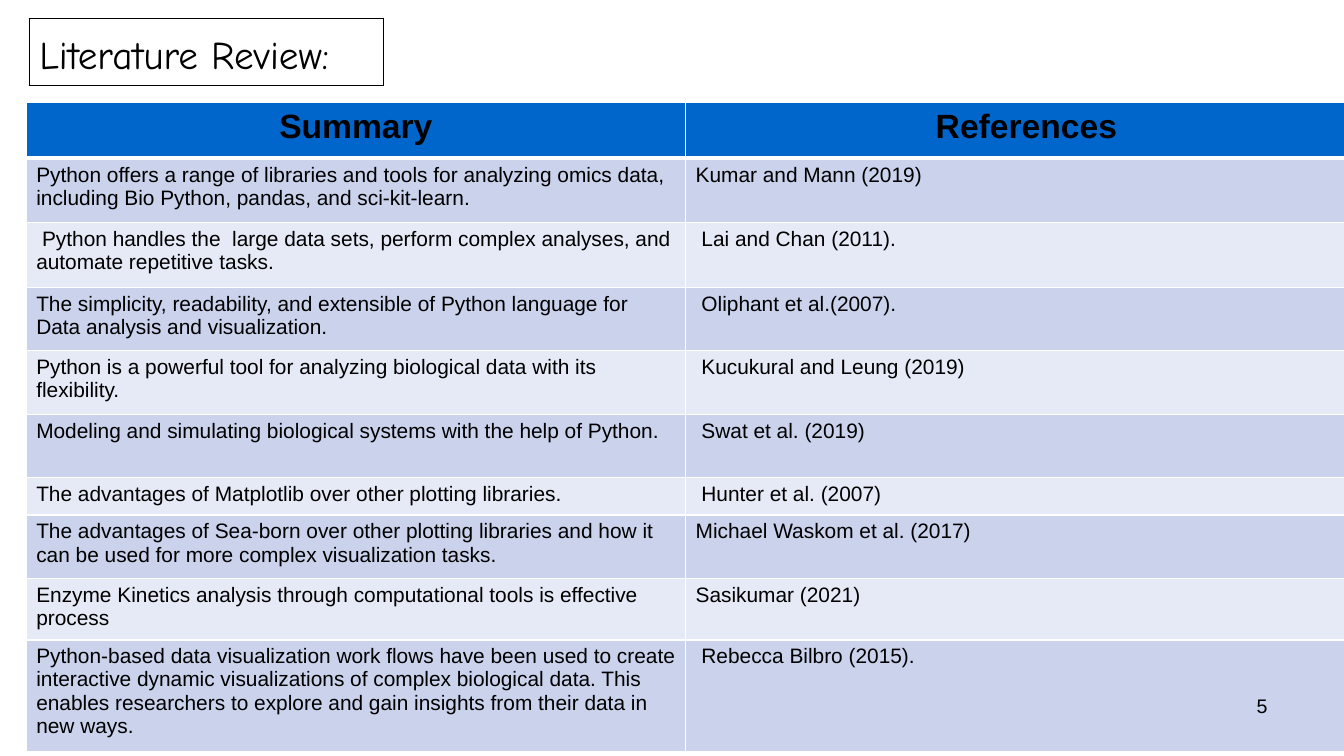
from dataclasses import dataclass

from lxml import etree
from pptx import Presentation
from pptx.dml.color import RGBColor
from pptx.enum.text import MSO_ANCHOR, PP_ALIGN
from pptx.oxml.ns import qn
from pptx.util import Inches, Pt

LEFT, CENTER, RIGHT = PP_ALIGN.LEFT, PP_ALIGN.CENTER, PP_ALIGN.RIGHT
MIDDLE = MSO_ANCHOR.MIDDLE
TITLE_ONLY = 5


@dataclass(frozen=True)
class Theme:
    title_font: str = "Comic Neue"
    body_font: str = "Arial"
    ink: str = "000000"
    rule: str = "FFFFFF"
    header: str = "0066CC"
    bands: tuple = ("CAD2EC", "E6EAF6")
    title_size: float = 28
    header_size: float = 24
    body_size: float = 14.9
    number_size: float = 14


HEADINGS = ("Summary", "References")
STUDIES = [
    ("Python offers a range of libraries and tools for analyzing omics data, including Bio Python, "
     "pandas, and sci-kit-learn.", "Kumar and Mann (2019)"),
    (" Python handles the  large data sets, perform complex analyses, and automate repetitive tasks.",
     " Lai and Chan (2011)."),
    ("The simplicity, readability, and extensible of Python language for Data analysis and "
     "visualization.", " Oliphant et al.(2007)."),
    ("Python is a powerful tool for analyzing biological data with its flexibility.",
     " Kucukural and Leung (2019)"),
    ("Modeling and simulating biological systems with the help of Python.", " Swat et al. (2019)"),
    ("The advantages of Matplotlib over other plotting libraries.", " Hunter et al. (2007)"),
    ("The advantages of Sea-born over other plotting libraries and how it can be used for more "
     "complex visualization tasks.", "Michael Waskom et al. (2017)"),
    ("Enzyme Kinetics analysis through computational tools is effective process", "Sasikumar (2021)"),
    ("Python-based data visualization work flows have been used to create interactive dynamic "
     "visualizations of complex biological data. This enables researchers to explore and gain "
     "insights from their data in new ways.", " Rebecca Bilbro (2015)."),
]
ROW_HEIGHTS = (0.55, 0.64, 0.64, 0.63, 0.63, 0.63, 0.37, 0.63, 0.61, 1.11)
COLUMN_WIDTH = 6.54


class SlideBuilder:
    def __init__(self, slide, theme):
        self.slide = slide
        self.theme = theme

    def set_text(self, frame, text, size, align=LEFT, font=None, bold=False):
        frame.word_wrap = True
        para = frame.paragraphs[0]
        para.text = text
        para.alignment = align
        para.font.name = font or self.theme.body_font
        para.font.size = Pt(size)
        para.font.bold = bold
        para.font.color.rgb = RGBColor.from_string(self.theme.ink)

    def title(self, text, left, top, width, height):
        box = self.slide.shapes.title
        box.left, box.top, box.width, box.height = map(Inches, (left, top, width, height))
        box.text_frame.vertical_anchor = MIDDLE
        self.set_text(box.text_frame, text, self.theme.title_size, font=self.theme.title_font)

    def label(self, text, left, top, width, height, align):
        box = self.slide.shapes.add_textbox(*map(Inches, (left, top, width, height)))
        self.set_text(box.text_frame, text, self.theme.number_size, align)

    def grid(self, left, top, widths, heights):
        """Add a table with exact column widths and row heights and no style options."""
        size = map(Inches, (left, top, sum(widths), sum(heights)))
        table = self.slide.shapes.add_table(len(heights), len(widths), *size).table
        table.first_row = table.horz_banding = False
        for column, width in zip(table.columns, widths):
            column.width = Inches(width)
        for row, height in zip(table.rows, heights):
            row.height = Inches(height)
        return table

    def borders(self, cell, color, top=1, bottom=1):
        properties = cell._tc.get_or_add_tcPr()
        sides = (("L", 1), ("R", 1), ("T", top), ("B", bottom))
        for position, (side, points) in enumerate(sides):
            line = etree.Element(qn(f"a:ln{side}"), w=str(Pt(points)))
            fill = etree.SubElement(line, qn("a:solidFill"))
            etree.SubElement(fill, qn("a:srgbClr"), val=color)
            properties.insert(position, line)

    def frame(self, left, top, width, height):
        """Add a one-cell table that outlines the title."""
        cell = self.grid(left, top, [width], [height]).cell(0, 0)
        cell.fill.background()
        self.borders(cell, self.theme.ink)

    def review_table(self, left, top):
        theme = self.theme
        table = self.grid(left, top, [COLUMN_WIDTH] * len(HEADINGS), ROW_HEIGHTS)
        for r, texts in enumerate([HEADINGS, *STUDIES]):
            is_header = r == 0
            color = theme.header if is_header else theme.bands[(r - 1) % 2]
            for c, text in enumerate(texts):
                cell = table.cell(r, c)
                cell.fill.solid()
                cell.fill.fore_color.rgb = RGBColor.from_string(color)
                self.borders(cell, theme.rule, top=3 if r == 1 else 1, bottom=3 if is_header else 1)
                if is_header:
                    self.set_text(cell.text_frame, text, theme.header_size, CENTER, bold=True)
                else:
                    self.set_text(cell.text_frame, text, theme.body_size)
        table.cell(0, 1).margin_left = Inches(0.32)


def main():
    deck = Presentation()
    deck.slide_width, deck.slide_height = Inches(13.33), Inches(7.5)
    page = SlideBuilder(deck.slides.add_slide(deck.slide_layouts[TITLE_ONLY]), Theme())
    page.title("Literature Review:", 0.29, 0.21, 12, 0.64)
    page.frame(0.29, 0.18, 3.51, 0.67)
    page.review_table(0.26, 1.02)
    page.label("5", 9.56, 6.83, 3.11, 0.52, RIGHT)
    deck.save("out.pptx")


if __name__ == "__main__":
    main()
